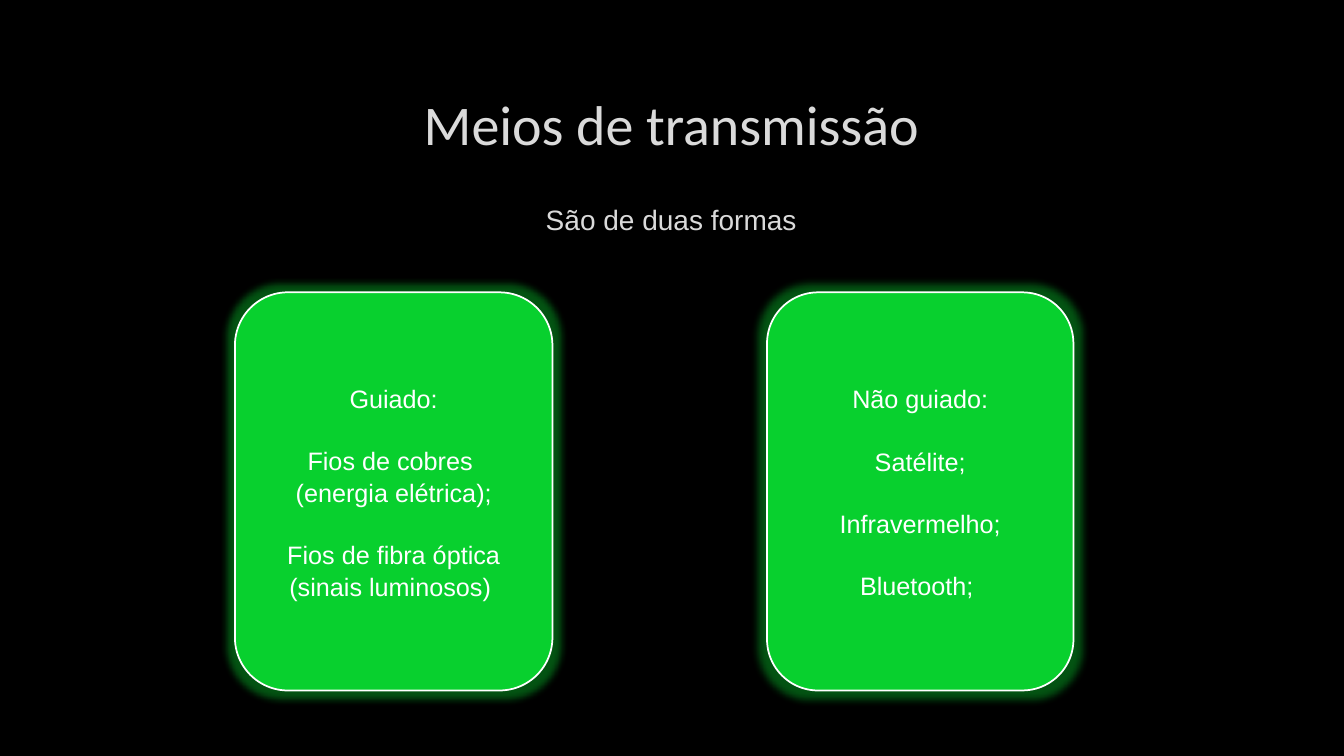
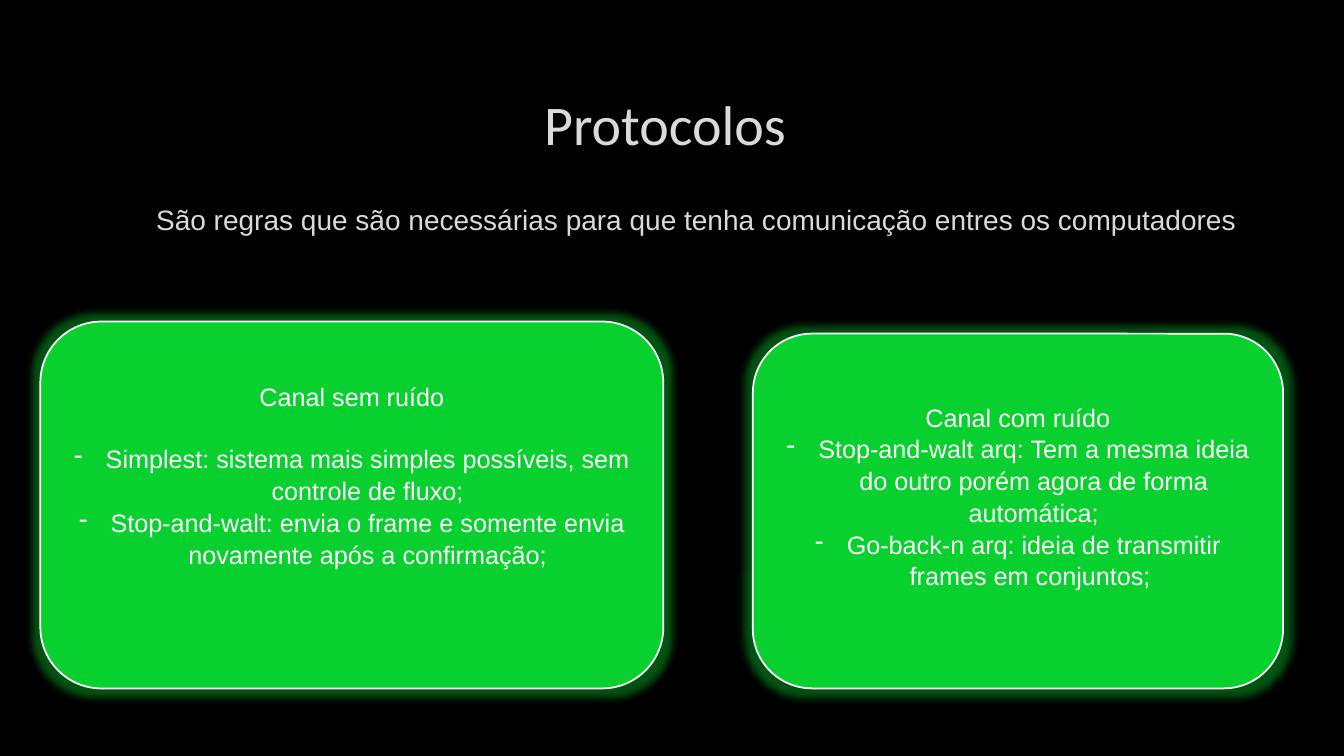
"""Build two slides on transmission media and protocols."""
from lxml import etree
from pptx import Presentation
from pptx.dml.color import RGBColor
from pptx.enum.shapes import MSO_SHAPE
from pptx.enum.text import MSO_ANCHOR, PP_ALIGN
from pptx.oxml.ns import qn
from pptx.util import Pt

BLACK = RGBColor(0x00, 0x00, 0x00)
GREEN = RGBColor(0x08, 0xD0, 0x2E)
WHITE = RGBColor(0xFF, 0xFF, 0xFF)
GREY = RGBColor(0xDA, 0xDA, 0xDA)
ROUND = MSO_SHAPE.ROUNDED_RECTANGLE
MIDDLE = MSO_ANCHOR.MIDDLE
LEFT, CENTER = PP_ALIGN.LEFT, PP_ALIGN.CENTER
LINE = 21.7
INDENT = Pt(22.5)


def style(para, name, size, color, align):
    para.alignment = align
    para.font.name = name
    para.font.size = Pt(size)
    para.font.color.rgb = color


def glow(shape):
    shape.shadow.inherit = False
    effects = shape._element.spPr.find(qn("a:effectLst"))
    halo = etree.SubElement(effects, qn("a:glow"), rad=str(Pt(11)))
    color = etree.SubElement(halo, qn("a:srgbClr"), val=str(GREEN))
    etree.SubElement(color, qn("a:alpha"), val="40000")


# Each card: left, top, width, height, blank lines below, (text, gap, bullet)
SLIDES = [
    ("Meios de transmissão", "São de duas formas", 72, CENTER, [
        (167.8, 208.8, 226.8, 284.4, 0, [
            ("Guiado:", False, False),
            ("Fios de cobres ", True, False),
            ("(energia elétrica);", False, False),
            ("Fios de fibra óptica", True, False),
            ("(sinais luminosos) ", False, False)]),
        (547.9, 208.8, 218.9, 284.4, 0, [
            ("Não guiado:", False, False),
            ("Satélite;", True, False),
            ("Infravermelho;", True, False),
            ("Bluetooth; ", True, False)])]),
    ("Protocolos ",
     "São regras que são necessárias para que tenha comunicação entres os computadores",
     104.4, LEFT, [
        (28.8, 229.7, 445, 262.1, 2, [
            ("Canal sem ruído", False, False),
            ("Simplest: sistema mais simples possíveis, sem controle de fluxo;",
             True, True),
            ("Stop-and-walt: envia o frame e somente envia novamente após a confirmação;",
             False, True)]),
        (537.8, 238.3, 378.7, 253.4, 1, [
            ("Canal com ruído", False, False),
            ("Stop-and-walt arq: Tem a mesma ideia do outro porém agora de forma automática;",
             False, True),
            ("Go-back-n arq: ideia de transmitir frames em conjuntos; ",
             False, True)])]),
]

prs = Presentation()
prs.slide_width, prs.slide_height = Pt(960), Pt(540)
back = prs.slide_master.background.fill
back.solid()
back.fore_color.rgb = BLACK

for head, sub, x, align, cards in SLIDES:
    slide = prs.slides.add_slide(prs.slide_layouts[5])
    title = slide.shapes.title
    title.left, title.top = Pt(72), Pt(50)
    title.width, title.height = Pt(815), Pt(76.3)
    title.text_frame.text = head
    title.text_frame.vertical_anchor = MIDDLE
    style(title.text_frame.paragraphs[0], "Calibri", 40, GREY, CENTER)

    box = slide.shapes.add_textbox(Pt(x), Pt(141), Pt(815), Pt(36))
    box.text_frame.word_wrap = True
    box.text_frame.text = sub
    style(box.text_frame.paragraphs[0], "Arial", 20, GREY, align)

    for left, top, width, height, below, rows in cards:
        card = slide.shapes.add_shape(
            ROUND, Pt(left), Pt(top), Pt(width), Pt(height))
        card.fill.solid()
        card.fill.fore_color.rgb = GREEN
        card.line.color.rgb = WHITE
        card.line.width = Pt(1.25)
        glow(card)
        frame = card.text_frame
        frame.word_wrap = True
        frame.vertical_anchor = MIDDLE
        frame.margin_bottom = Pt(3.6 + below * LINE)
        frame.text = "\n".join(row[0] for row in rows)
        for para, (_, gap, bullet) in zip(frame.paragraphs, rows):
            style(para, "Arial", 18, WHITE, CENTER)
            para.line_spacing = 1.05
            para.space_before = Pt(LINE if gap else 0)
            if bullet:
                props = para._p.get_or_add_pPr()
                props.set("marL", str(INDENT))
                props.set("indent", str(-INDENT))
                mark = etree.Element(qn("a:buChar"), char="-")
                props.find(qn("a:spcBef")).addnext(mark)

prs.save("out.pptx")
